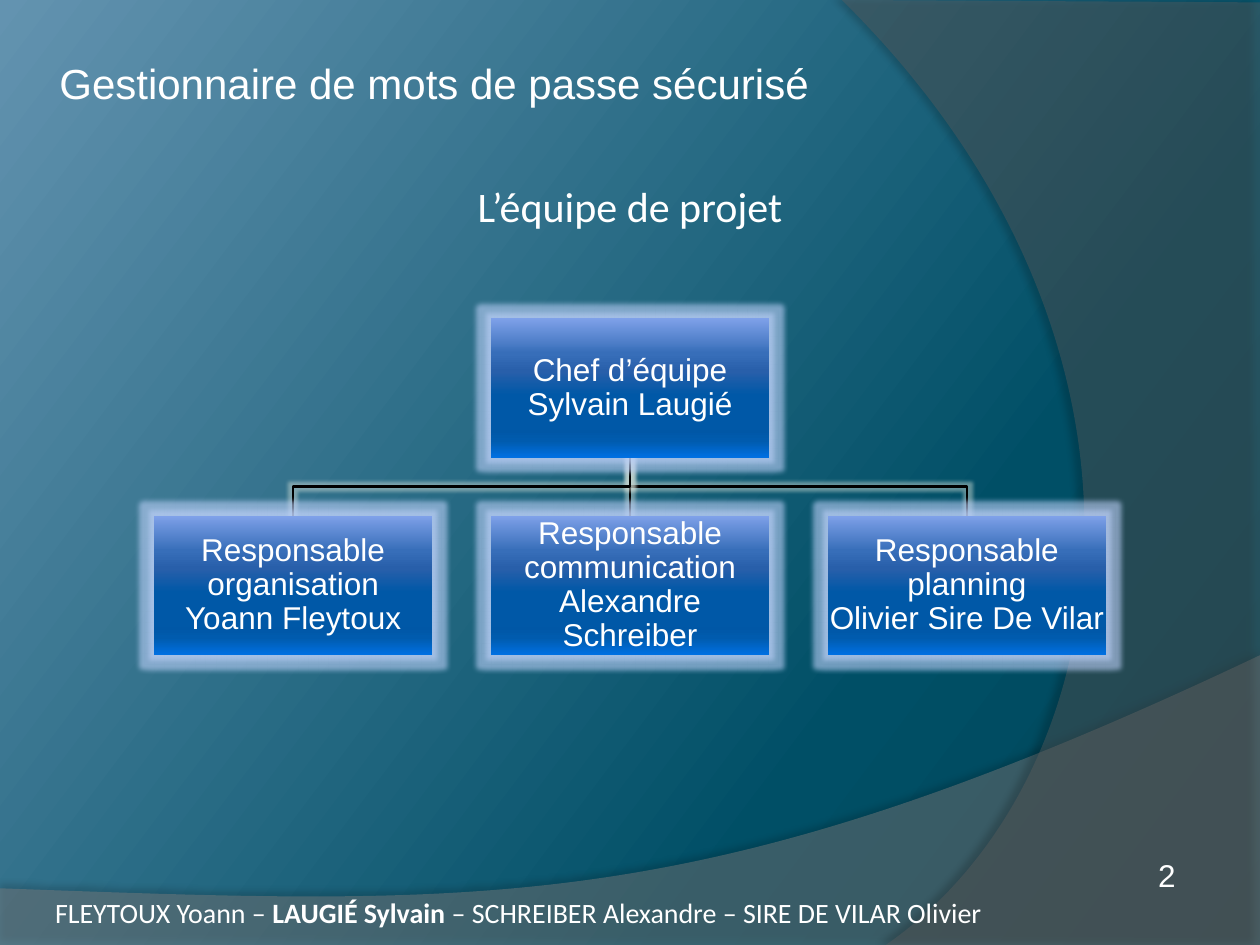
from lxml.etree import SubElement as Sub
from pptx import Presentation
from pptx.dml.color import RGBColor as RGB
from pptx.enum.shapes import MSO_SHAPE as Shape
from pptx.enum.text import MSO_ANCHOR as Anchor, PP_ALIGN as Align
from pptx.oxml.ns import qn
from pptx.util import Pt

INK = {"text": "FFFFFF", "line": "000000", "shade": "000000",
       "wave": "7F7F7F", "arc": "5E5E5E", "halo": "BCD0F8", "gleam": "DDE6DC"}
SKY = [(0, "004355"), (30, "004F66"), (100, "6393B0")]
GLOSS = [(0, "7FA1E9"), (25, "376EB9"), (38, "285FAA"), (55, "0058A7"),
         (80, "0057A6"), (88, "005BAE"), (100, "0070E2")]

WIDE, HIGH = 720, 540
BOX_W, BOX_H = 159, 79.6
MID, STEP = WIDE / 2, 192.5
TOP, LOW = 182, 294.7


def add_color(parent, color, alpha=100):
    node = Sub(parent, qn("a:srgbClr"), val=color)
    Sub(node, qn("a:alpha"), val=str(alpha * 1000))


def set_grad(fill, props, stops, angle):
    """Fill with a gradient of any number of stops."""
    fill.gradient()
    grad = props.find(qn("a:gradFill"))
    for child in list(grad):
        grad.remove(child)
    group = Sub(grad, qn("a:gsLst"))
    for place, color in stops:
        add_color(Sub(group, qn("a:gs"), pos=str(place * 1000)), color)
    Sub(grad, qn("a:lin"), ang=str(angle * 60000), scaled="0")


def effects(shape):
    shape.shadow.inherit = False
    return shape._element.spPr.find(qn("a:effectLst"))


def add_glow(shape, color, size, alpha):
    glow = Sub(effects(shape), qn("a:glow"), rad=str(Pt(size)))
    add_color(glow, color, alpha)


def add_outline(slide, points, close):
    spots = [(Pt(x), Pt(y)) for x, y in points]
    build = slide.shapes.build_freeform(*spots[0])
    build.add_line_segments(spots[1:], close=close)
    return build.convert_to_shape()


def bend_end(shape):
    """Turn the last three segments into one cubic curve."""
    lines = list(shape._element.spPr.iter(qn("a:lnTo")))[-3:]
    bend = lines[0].makeelement(qn("a:cubicBezTo"), {})
    lines[0].addprevious(bend)
    for line in lines:
        bend.append(line[0])
        line.getparent().remove(line)


def add_swoosh(slide, points, color, alpha, shade, dist, angle):
    """Translucent backdrop area with a curved edge and a soft shadow."""
    area = add_outline(slide, points, True)
    bend_end(area)
    area.line.fill.background()
    area.fill.solid()
    area.fill.fore_color.rgb = RGB.from_string(color)
    tint = area._element.spPr.find(qn("a:solidFill"))[0]
    Sub(tint, qn("a:alpha"), val=str(alpha * 1000))
    cast = Sub(effects(area), qn("a:outerShdw"), blurRad=str(Pt(4)),
               dist=str(Pt(dist)), dir=str(angle * 60000), rotWithShape="0")
    add_color(cast, INK["shade"], shade)


def style(para, size, font, align=Align.CENTER):
    para.alignment = align
    para.font.size = Pt(size)
    para.font.name = font
    para.font.color.rgb = RGB.from_string(INK["text"])


def add_text(slide, box, runs, size, font, align=Align.CENTER):
    """Text box; runs are (text, bold) pairs."""
    frame = slide.shapes.add_textbox(*map(Pt, box)).text_frame
    frame.word_wrap = True
    para = frame.paragraphs[0]
    style(para, size, font, align)
    for text, bold in runs:
        run = para.add_run()
        run.text = text
        if bold:
            run.font.bold = True


def add_link(slide, x):
    """Branch from the leader's box to the box centred on x."""
    start, turn = TOP + BOX_H, 278
    points = [(MID, start), (MID, turn), (x, turn), (x, LOW)]
    if x == MID:
        points = [points[0], points[-1]]
    link = add_outline(slide, points, False)
    link.fill.background()
    link.line.color.rgb = RGB.from_string(INK["line"])
    link.line.width = Pt(1.5)
    add_glow(link, INK["gleam"], 4, 45)


def add_role(slide, x, y, role, name):
    """Glossy box centred on x."""
    box = slide.shapes.add_shape(Shape.RECTANGLE, Pt(x - BOX_W / 2), Pt(y),
                                 Pt(BOX_W), Pt(BOX_H))
    set_grad(box.fill, box._element.spPr, GLOSS, 90)
    box.line.fill.background()
    add_glow(box, INK["halo"], 5.5, 60)
    frame = box.text_frame
    frame.word_wrap = True
    frame.vertical_anchor = Anchor.MIDDLE
    frame.margin_left = frame.margin_right = Pt(0.7)
    frame.margin_top = frame.margin_bottom = Pt(0.7)
    para = frame.paragraphs[0]
    para.text = f"{role}\v{name}"
    para.line_spacing = 0.9
    style(para, 18, "Arial")


def main():
    deck = Presentation()
    deck.slide_width, deck.slide_height = Pt(WIDE), Pt(HIGH)
    slide = deck.slides.add_slide(deck.slide_layouts[6])

    # Backdrop
    fill = slide.background.fill
    fill.solid()
    props = slide._element.cSld.find(qn("p:bg")).find(qn("p:bgPr"))
    set_grad(fill, props, SKY, 217)
    wave = [(0, 540.7), (WIDE, 540.7), (WIDE, 374.4),
            (402.5, 525), (281.5, 517.7), (0, 507.6)]
    add_swoosh(slide, wave, INK["wave"], 45, 35, 3.5, 270)
    arc = [(WIDE, 1.4), (WIDE, HIGH), (506.2, HIGH),
           (641.5, 445.7), (681.8, 198), (481, 0)]
    add_swoosh(slide, arc, INK["arc"], 40, 45, 4, 180)

    # Headings and footer
    add_text(slide, (0, 99.7, WIDE, 36),
             [("L’équipe de projet", False)], 24, "Calibri")
    add_text(slide, (0, 508.3, 592.5, 26.6),
             [("FLEYTOUX Yoann – ", False), ("LAUGIÉ Sylvain ", True),
              ("– SCHREIBER Alexandre – SIRE DE VILAR Olivier", False)],
             16, "Calibri")

    # Team chart: links first, boxes over them
    team = [("Responsable organisation", "Yoann Fleytoux"),
            ("Responsable communication", "Alexandre Schreiber"),
            ("Responsable planning", "Olivier Sire De Vilar")]
    spots = [MID + STEP * i for i in (-1, 0, 1)]
    for x in reversed(spots):
        add_link(slide, x)
    add_role(slide, MID, TOP, "Chef d’équipe", "Sylvain Laugié")
    for x, (role, name) in zip(spots, team):
        add_role(slide, x, LOW, role, name)

    # Title and page number
    add_text(slide, (22.7, 29.5, 450.7, 36),
             [("Gestionnaire de mots de passe sécurisé", False)], 24, "Arial")
    add_text(slide, (654.7, 485.6, 39.6, 28.8), [("2", False)],
             18, "Arial", Align.LEFT)

    deck.save("out.pptx")


if __name__ == "__main__":
    main()
